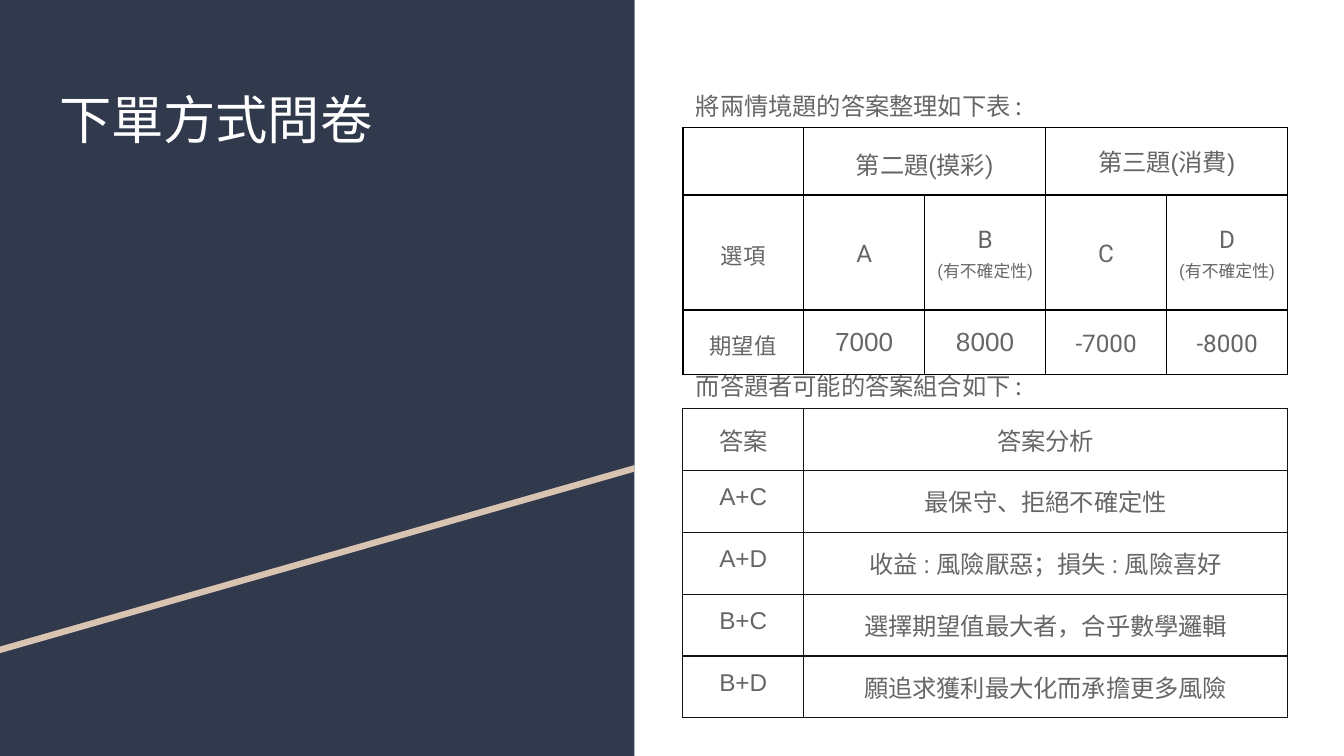
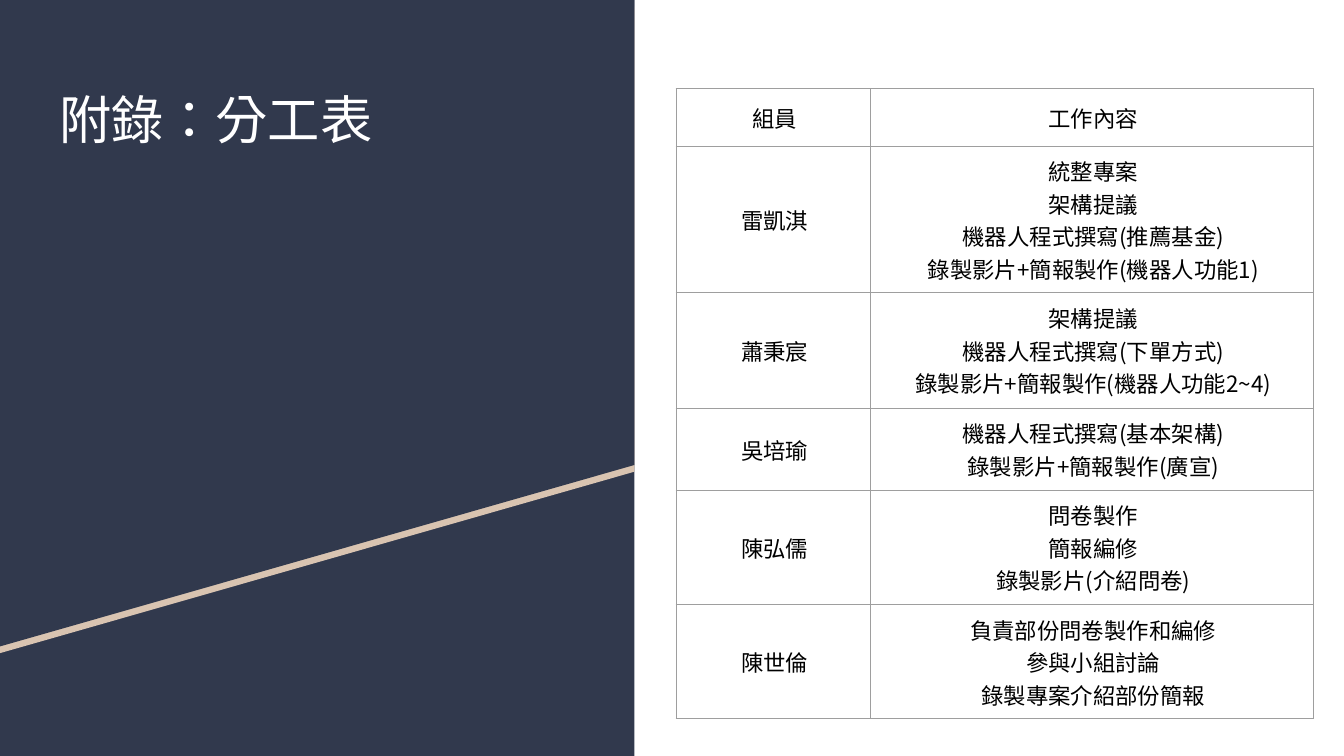
from lxml.etree import SubElement, fromstring
from pptx import Presentation
from pptx.dml.color import RGBColor
from pptx.enum.shapes import MSO_SHAPE as SHAPE
from pptx.enum.text import MSO_ANCHOR as ANCHOR, MSO_AUTO_SIZE as FIT, PP_ALIGN as ALIGN
from pptx.oxml.ns import nsdecls, qn
from pptx.util import Inches, Pt

NAVY = RGBColor(0x31, 0x39, 0x4D)
SAND = RGBColor(0xD9, 0xC4, 0xB1)
WHITE = RGBColor(0xFF, 0xFF, 0xFF)
GREY = RGBColor(0x66, 0x66, 0x66)
BLACK = RGBColor(0, 0, 0)
INK = RGBColor(0x13, 0x13, 0x13)
RULE = RGBColor(0x9E, 0x9E, 0x9E)
NOTO = "Noto Sans CJK SC"
PANEL = (0, 0, 4.72, 5.62)

ODDS = [
    ["", "第二題(摸彩)", None, "第三題(消費)", None],
    ["選項", "A", "B\n(有不確定性)", "C", "D\n(有不確定性)"],
    ["期望值", "7000", "8000", "-7000", "-8000"],
]
LABEL = {"size": 12}
SUM = {"size": 14, "name": "Arial", "lead": None}
ODD_FMT = {
    (0, 3): {"name": "Arial", "lead": None},
    (1, 0): LABEL, (2, 0): LABEL, (2, 1): SUM, (2, 2): SUM,
}
PAIRS = [
    ("答案", "答案分析"),
    ("A+C", "最保守、拒絕不確定性"),
    ("A+D", "收益 : 風險厭惡；損失 : 風險喜好"),
    ("B+C", "選擇期望值最大者，合乎數學邏輯"),
    ("B+D", "願追求獲利最大化而承擔更多風險"),
]
TASKS = [
    ("組員", "工作內容"),
    ("雷凱淇", "統整專案\n架構提議\n機器人程式撰寫(推薦基金)\n錄製影片+簡報製作(機器人功能1)"),
    ("蕭秉宸", "架構提議\n機器人程式撰寫(下單方式)\n錄製影片+簡報製作(機器人功能2~4)"),
    ("吳培瑜", "機器人程式撰寫(基本架構)\n錄製影片+簡報製作(廣宣)"),
    ("陳弘儒", "問卷製作\n簡報編修\n錄製影片(介紹問卷)"),
    ("陳世倫", "負責部份問卷製作和編修\n參與小組討論\n錄製專案介紹部份簡報"),
]


def write(frame, text, fmt):
    """Fill a text frame with one paragraph per line."""
    for i, line in enumerate(text.split("\n")):
        para = frame.paragraphs[0] if i == 0 else frame.add_paragraph()
        para.alignment = fmt.get("align", ALIGN.LEFT)
        if "indent" in fmt:
            para._p.get_or_add_pPr().set("marL", str(Inches(fmt["indent"])))
        if fmt.get("lead"):
            para.line_spacing = fmt["lead"]
        if i and "gap" in fmt:
            para.space_before = Pt(fmt["gap"])
        small = "note" in fmt and i > 0
        size = Pt(fmt["note"] if small else fmt["size"])
        if not line:
            para.font.size = size
            continue
        run = para.add_run()
        run.text = line
        for key, value in {"size": size, "name": fmt["name"], "bold": False}.items():
            setattr(run.font, key, value)
        run.font.color.rgb = fmt["color"]
        SubElement(run.font._element, qn("a:ea"), typeface=NOTO)
        if "lang" in fmt:
            run.font._element.set("lang", fmt["lang"])


def inset(frame):
    """Give a text frame its wrap, anchor and margins."""
    looks = {"word_wrap": True, "auto_size": FIT.NONE, "vertical_anchor": ANCHOR.TOP}
    for side in ("left", "right", "top", "bottom"):
        looks["margin_" + side] = Inches(0.1)
    for key, value in looks.items():
        setattr(frame, key, value)


def paint(shape, color):
    """Give a shape a flat fill with no line or shadow."""
    shape.fill.solid()
    shape.fill.fore_color.rgb = color
    shape.line.fill.background()
    shape.shadow.inherit = False


def panel(slide, box):
    """Draw the dark side panel with its slanted stripe."""
    left, top, wide, high = box
    back = slide.shapes.add_shape(SHAPE.RECTANGLE, *map(Inches, box))
    paint(back, NAVY)
    for drop, color in ((0.05, SAND), (0, NAVY)):
        edge = [(left + x, top + drop + y)
                for x, y in ((0, 0), (wide, 0), (wide, 3.46), (0, 4.81))]
        dots = [(Inches(x), Inches(y)) for x, y in edge]
        pen = slide.shapes.build_freeform(*dots[0], scale=1)
        pen.add_line_segments(dots[1:], close=True)
        paint(pen.convert_to_shape(), color)
    return back


def place(shape, box):
    """Set the position and size of a shape."""
    for key, value in zip(("left", "top", "width", "height"), box):
        setattr(shape, key, Inches(value))


def start(prs, text, box):
    """Add a slide with the side panel and its title."""
    slide = prs.slides.add_slide(prs.slide_layouts[5])
    panel(slide, PANEL).height = prs.slide_height
    title = slide.shapes.title
    title.element.getparent().append(title.element)
    place(title, box)
    inset(title.text_frame)
    write(title.text_frame, text,
          {"size": 28, "name": NOTO, "color": WHITE, "lang": "zh-TW"})
    return slide


def border(cell, color, width):
    """Draw the four sides of a table cell."""
    cell.fill.background()
    props = cell._tc.get_or_add_tcPr()
    for i, side in enumerate("LRTB"):
        props.insert(i, fromstring(
            f'<a:ln{side} {nsdecls("a")} w="{Pt(width)}"><a:solidFill>'
            f'<a:srgbClr val="{color}"/></a:solidFill></a:ln{side}>'))


def grid(slide, box, cols, rows, cells, fmt, odd=None):
    """Add a ruled table; None joins a cell to the one on its left."""
    table = slide.shapes.add_table(len(rows), len(cols), *map(Inches, box)).table
    table.first_row = table.horz_banding = False
    for col, wide in zip(table.columns, cols):
        col.width = Inches(wide)
    for row, high in zip(table.rows, rows):
        row.height = Inches(high)
    for r, line in enumerate(cells):
        for c, text in enumerate(line):
            cell = table.cell(r, c)
            border(cell, *fmt["rule"])
            cell.vertical_anchor = fmt["anchor"]
            side, end = fmt["pad"]
            pads = {"left": side, "right": side, "top": end, "bottom": end}
            for key, value in pads.items():
                setattr(cell, "margin_" + key, Inches(value))
            if text is None:
                continue
            span = c + 1
            while span < len(line) and line[span] is None:
                span += 1
            if span > c + 1:
                cell.merge(table.cell(r, span - 1))
            write(cell.text_frame, text, {**fmt, **(odd or {}).get((r, c), {})})


def survey(prs):
    """Build the slide on the order survey."""
    slide = start(prs, "下單方式問卷", (0.34, 0.55, 4.05, 2.74))
    left, top, wide = 5.08, 0.55, 4.5
    body = slide.shapes.add_textbox(*map(Inches, (left, top, 4.56, 4.48))).text_frame
    inset(body)
    base = {"size": 13, "color": GREY, "lead": 1.15}
    write(body, "將兩情境題的答案整理如下表 :\n而答題者可能的答案組合如下 :",
          {**base, "name": NOTO, "gap": 132})
    base["align"] = ALIGN.CENTER
    grid(slide, (left, top + 0.4, wide, 1.5), [0.9] * 5, [0.45, 0.6, 0.45], ODDS,
         {**base, "name": "Roboto", "note": 9, "anchor": ANCHOR.MIDDLE,
          "pad": (0.07, 0.1), "rule": (BLACK, 1)}, ODD_FMT)
    grid(slide, (left, top + 2.49, wide, 2.1), [0.9] * 5, [0.42] * 5,
         [[*pair, None, None, None] for pair in PAIRS],
         {**base, "name": "Arial", "lead": None, "anchor": ANCHOR.TOP,
          "pad": (0.1, 0.1), "rule": (INK, 0.75)})


def duties(prs):
    """Build the appendix slide on who did what."""
    slide = start(prs, "附錄：分工表", (0.34, 0.55, 4.34, 0.79))
    grid(slide, (5.03, 0.66, 4.74, 4.32), [1.45, 3.29],
         [0.43, 1.09, 0.86, 0.61, 0.85, 0.85], TASKS,
         {"size": 12, "name": NOTO, "color": BLACK, "align": ALIGN.CENTER,
          "indent": 0.02, "anchor": ANCHOR.MIDDLE, "pad": (0.06, 0.06),
          "rule": (RULE, 0.6)})


def main():
    """Build and save the deck."""
    prs = Presentation()
    prs.slide_width = Inches(10)
    prs.slide_height = Inches(10) * 9 // 16
    survey(prs)
    duties(prs)
    prs.save("out.pptx")


if __name__ == "__main__":
    main()
